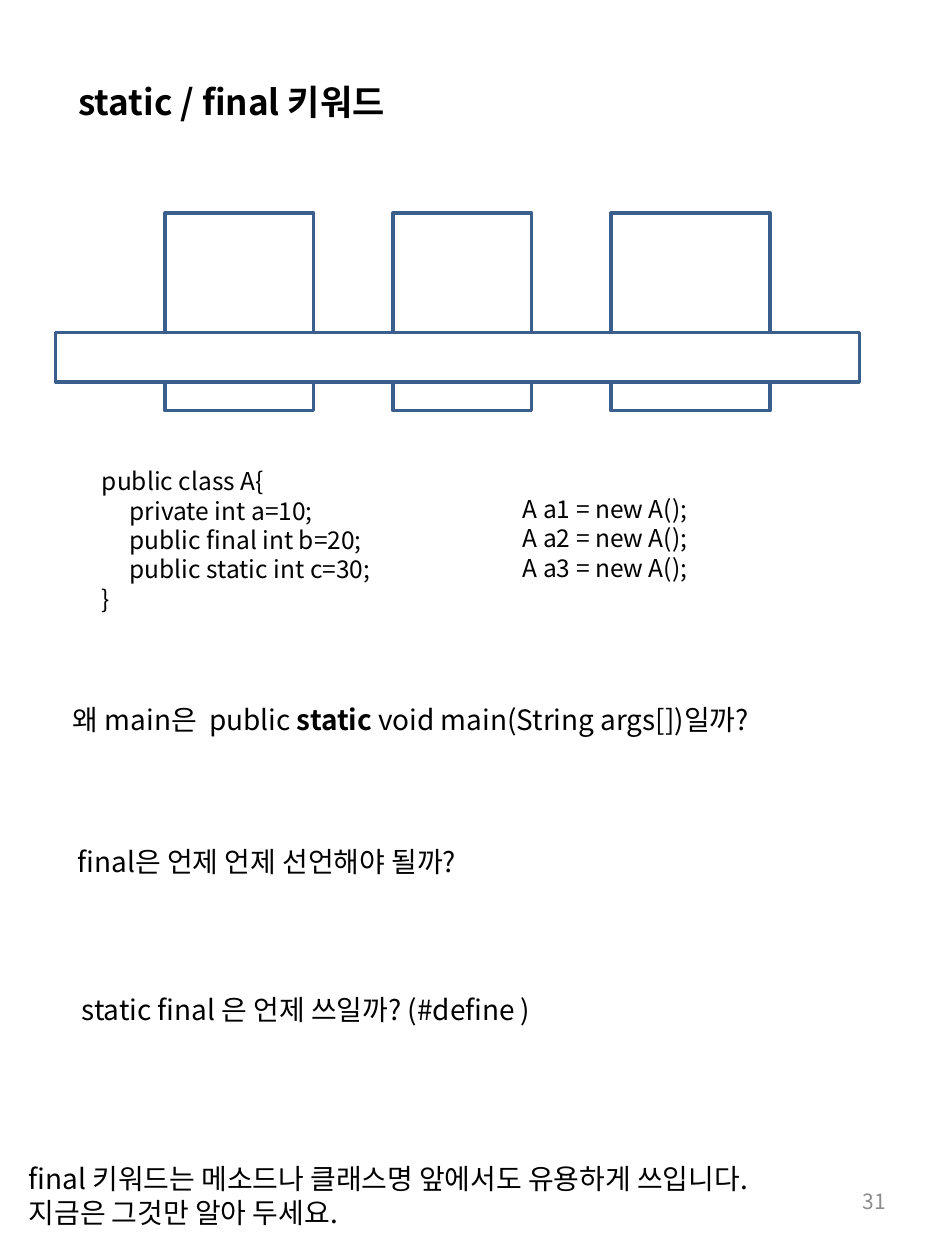
from lxml.etree import SubElement
from pptx import Presentation
from pptx.dml.color import RGBColor
from pptx.enum.shapes import MSO_SHAPE
from pptx.enum.text import MSO_ANCHOR, MSO_AUTO_SIZE, PP_ALIGN
from pptx.oxml.ns import qn
from pptx.util import Inches, Pt

COLORS = {"text": "000000", "outline": "3A5F8C", "band": "FFFFFF", "number": "8C8C8C"}
FONT = "Noto Sans CJK KR"
COLUMNS, ROWS = 75, 100


def add_run(paragraph, text, size=16, bold=False, color="text"):
    """Add one formatted run, with the same font for Latin and Korean."""
    run = paragraph.add_run()
    run.text = text
    font = run.font
    font.name, font.size, font.bold = FONT, Pt(size), bold
    font.color.rgb = RGBColor.from_string(COLORS[color])
    SubElement(run._r.get_or_add_rPr(), qn("a:ea"), typeface=FONT)


class SlideBuilder:
    """Places elements on a grid of COLUMNS by ROWS."""

    def __init__(self, presentation):
        self.column = presentation.slide_width / COLUMNS
        self.row = presentation.slide_height / ROWS
        self.slide = presentation.slides.add_slide(presentation.slide_layouts[5])

    def area(self, left, top, width, height):
        return (round(left * self.column), round(top * self.row),
                round(width * self.column), round(height * self.row))

    def fill_text(self, shape, lines, align=PP_ALIGN.LEFT, anchor=MSO_ANCHOR.TOP, **style):
        """Each line is a string or a list of (text, bold) parts."""
        frame = shape.text_frame
        frame.word_wrap = True
        frame.auto_size = MSO_AUTO_SIZE.NONE
        frame.vertical_anchor = anchor
        for index, line in enumerate(lines):
            paragraph = frame.paragraphs[0] if index == 0 else frame.add_paragraph()
            paragraph.alignment = align
            parts = [(line, style.get("bold", False))] if isinstance(line, str) else line
            for text, bold in parts:
                add_run(paragraph, text, **{**style, "bold": bold})
        return frame

    def title(self, text, *grid):
        shape = self.slide.shapes.title
        shape.left, shape.top, shape.width, shape.height = self.area(*grid)
        self.fill_text(shape, [text], size=20, bold=True)

    def text(self, lines, *grid, **style):
        shape = self.slide.shapes.add_textbox(*self.area(*grid))
        return self.fill_text(shape, lines, **style)

    def code(self, lines, *grid, indented=()):
        frame = self.text(lines, *grid, size=14)
        for index in indented:
            properties = frame.paragraphs[index]._p.get_or_add_pPr()
            properties.set("marL", str(Inches(0.22)))

    def box(self, *grid, fill=None):
        shape = self.slide.shapes.add_shape(MSO_SHAPE.RECTANGLE, *self.area(*grid))
        shape.shadow.inherit = False
        shape.line.color.rgb = RGBColor.from_string(COLORS["outline"])
        shape.line.width = Pt(2)
        if fill:
            shape.fill.solid()
            shape.fill.fore_color.rgb = RGBColor.from_string(COLORS[fill])
        else:
            shape.fill.background()


def main():
    presentation = Presentation()
    presentation.slide_width, presentation.slide_height = Inches(7.5), Inches(10)
    builder = SlideBuilder(presentation)
    builder.title("static / final 키워드", 5.2, 5.9, 28.5, 4.4)

    # Three objects crossed by the band of the shared static member
    left, gap = 13.1, 6.3
    for width in (11.8, 11, 12.6):
        builder.box(left, 16.9, width, 15.7)
        left += width + gap
    builder.box(4.4, 26.4, 63.8, 3.9, fill="band")

    # Class and its instances
    builder.code(["public class A{", "private int a=10;", "public final int b=20;",
                  "public static int c=30;", "}"],
                 7.1, 36.5, 24.8, 12.8, indented=(1, 2, 3))
    builder.code([f"A a{number} = new A();" for number in (1, 2, 3)],
                 40.5, 38.7, 16.1, 8.1)

    # Questions
    builder.text([[("왜 main은  public ", False), ("static", True),
                   (" void main(String args[])일까?", False)]], 4.8, 55.3, 56.7, 6.4)
    builder.text(["final은 언제 언제 선언해야 될까?"], 5.2, 66.5, 36, 3.7)
    builder.text(["static final 은 언제 쓰일까? (#define )"], 5.5, 78.3, 40.7, 3.7)

    # Closing remark and page number
    builder.text(["final 키워드는 메소드나 클래스명 앞에서도 유용하게 쓰입니다.",
                  "지금은 그것만 알아 두세요."], 1.3, 91.7, 65.4, 6.4)
    builder.text(["31"], 53.8, 92.7, 17.5, 5.3, size=12, color="number",
                 align=PP_ALIGN.RIGHT, anchor=MSO_ANCHOR.MIDDLE)

    presentation.save("out.pptx")


if __name__ == "__main__":
    main()
